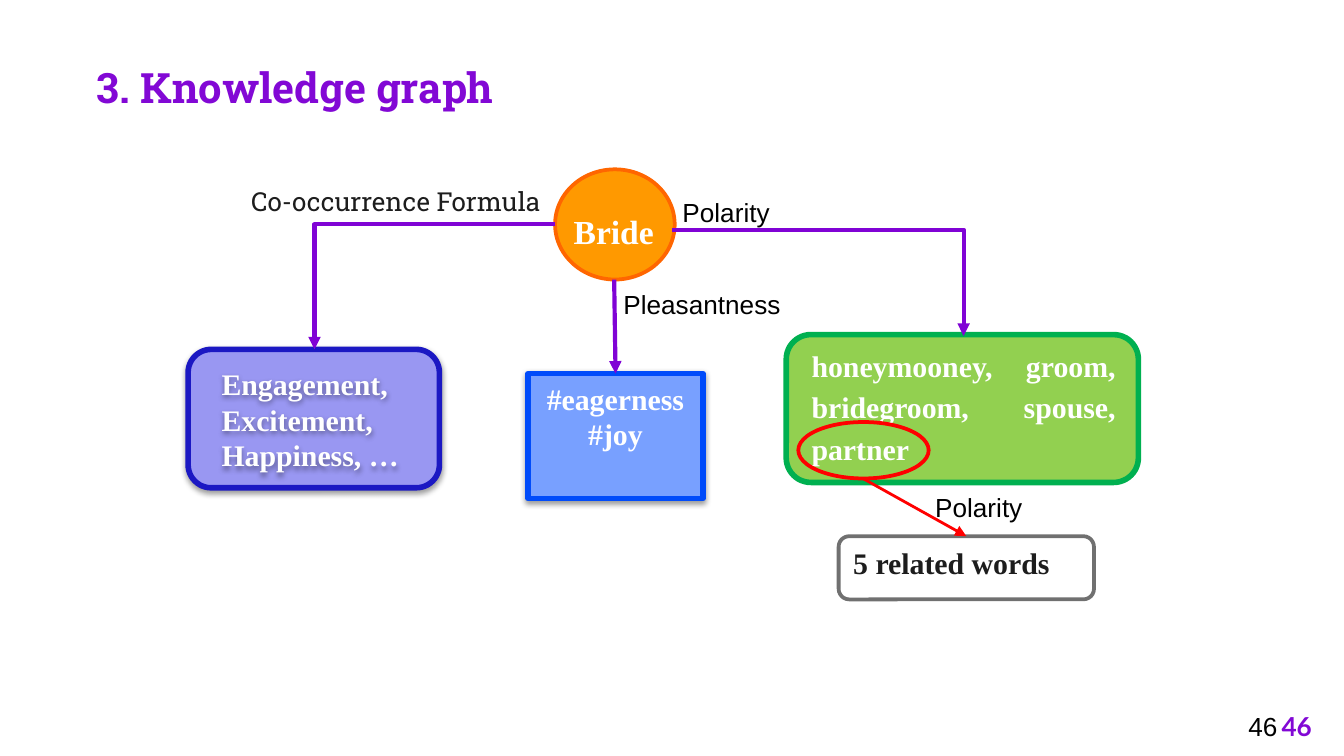
from lxml.etree import SubElement
from pptx import Presentation
from pptx.dml.color import RGBColor
from pptx.enum.shapes import MSO_CONNECTOR, MSO_SHAPE
from pptx.enum.text import MSO_ANCHOR, PP_ALIGN
from pptx.oxml.ns import qn
from pptx.util import Inches, Pt

COLORS = {
    "purple": "8003D5", "title": "8208D5", "black": "000000", "dark": "1D1D1D",
    "white": "FFFFFF", "orange": "FF9900", "orange_line": "FF6600",
    "green": "92D050", "green_line": "00B050", "blue": "78A0FF",
    "blue_line": "004BFA", "violet": "9997F2", "violet_line": "1B18C3",
    "gray_line": "707070", "red": "FF0000",
}
SERIF = "Times New Roman"


def color(name):
    return RGBColor.from_string(COLORS[name])


def write_text(shape, text, font="Arial", size=14, fill="black", bold=False,
               align=PP_ALIGN.LEFT, line_spacing=None, space_after=0,
               anchor=MSO_ANCHOR.TOP, inset=None):
    frame = shape.text_frame
    frame.word_wrap = True
    frame.vertical_anchor = anchor
    if inset is not None:
        frame.margin_left = frame.margin_right = Inches(inset)
        frame.margin_top = frame.margin_bottom = Inches(inset)
    paragraph = frame.paragraphs[0]
    paragraph.text = text
    paragraph.alignment = align
    paragraph.line_spacing = line_spacing
    paragraph.space_after = Pt(space_after)
    for run in paragraph.runs:
        run.font.name = font
        run.font.size = Pt(size)
        run.font.bold = bold
        run.font.color.rgb = color(fill)


def add_text(slide, box, text, **text_format):
    shape = slide.shapes.add_textbox(*map(Inches, box))
    write_text(shape, text, **text_format)
    return shape


def add_node_text(slide, box, text, **text_format):
    settings = {"font": SERIF, "size": 16, "fill": "white", "bold": True,
                "align": PP_ALIGN.JUSTIFY, "space_after": 8}
    return add_text(slide, box, text, **{**settings, **text_format})


def add_node(slide, kind, box, fill, line, line_width):
    shape = slide.shapes.add_shape(kind, *map(Inches, box))
    shape.shadow.inherit = False
    if fill:
        shape.fill.solid()
        shape.fill.fore_color.rgb = color(fill)
    else:
        shape.fill.background()
    shape.line.color.rgb = color(line)
    shape.line.width = Pt(line_width)
    return shape


def add_shadow(shape):
    """Give the shape a soft shadow that falls straight down."""
    shape.shadow.inherit = False
    effects = shape._element.spPr.find(qn("a:effectLst"))
    shadow = SubElement(effects, qn("a:outerShdw"), blurRad=str(Pt(3.1)),
                        dist=str(Pt(1.6)), dir="5400000", rotWithShape="0")
    shade = SubElement(shadow, qn("a:srgbClr"), val=COLORS["black"])
    SubElement(shade, qn("a:alpha"), val="38000")


def add_arrow(slide, start, end, line="purple", width=2.25, bent=False, target=None):
    """Draw an arrow, joined to the top of the target if there is one."""
    kind = MSO_CONNECTOR.ELBOW if bent else MSO_CONNECTOR.STRAIGHT
    arrow = slide.shapes.add_connector(kind, *map(Inches, (*start, *end)))
    if target is not None:
        arrow.end_connect(target, 0)
    arrow.line.color.rgb = color(line)
    arrow.line.width = Pt(width)
    properties = arrow._element.spPr
    if bent:
        properties.find(qn("a:prstGeom")).set("prst", "bentConnector2")
    SubElement(properties.find(qn("a:ln")), qn("a:tailEnd"), type="triangle")
    SubElement(properties, qn("a:effectLst"))


def add_title(slide, text):
    title = slide.shapes.title
    title.left, title.top = Inches(0.62), Inches(0.41)
    title.width, title.height = Inches(3.92), Inches(0.54)
    write_text(title, text, font="Roboto Slab", size=22.4, fill="title", bold=True)


def add_graph(slide):
    add_node(slide, MSO_SHAPE.OVAL, (4.13, 1.26, 0.89, 0.82),
             "orange", "orange_line", 2)
    add_node_text(slide, (4.17, 1.37, 1.04, 0.68), "Bride", size=18, line_spacing=1.5)

    add_node(slide, MSO_SHAPE.ROUNDED_RECTANGLE, (5.85, 2.49, 2.62, 1.1),
             "green", "green_line", 3)
    add_node_text(slide, (5.94, 2.5, 2.46, 1.07),
                  "honeymooney, groom, bridegroom, spouse, partner", line_spacing=1.15)

    hashtags = add_node(slide, MSO_SHAPE.RECTANGLE, (3.93, 2.78, 1.3, 0.93),
                        "blue", "blue_line", 3)
    add_shadow(hashtags)
    write_text(hashtags, "#eagerness\v#joy", font=SERIF, size=16, fill="white",
               bold=True, align=PP_ALIGN.CENTER, space_after=8)

    feelings = add_node(slide, MSO_SHAPE.ROUNDED_RECTANGLE, (1.4, 2.6, 1.87, 1.03),
                        "violet", "violet_line", 3)
    add_shadow(feelings)
    feelings_text = add_node_text(slide, (1.55, 2.67, 1.89, 0.96),
                                  "Engagement, Excitement, Happiness, …")
    add_shadow(feelings_text)

    related = add_node(slide, MSO_SHAPE.ROUNDED_RECTANGLE, (6.24, 3.99, 1.9, 0.47),
                       "white", "gray_line", 2)
    add_node_text(slide, (6.25, 4, 1.91, 0.42), "5 related words",
                  fill="dark", align=PP_ALIGN.LEFT)
    add_node(slide, MSO_SHAPE.OVAL, (5.94, 3.14, 0.97, 0.42), None, "red", 2)

    add_arrow(slide, (6.42, 3.56), (7.2, 4), line="red", width=1.5, target=related)
    add_arrow(slide, (4.57, 2.08), (4.58, 2.78), target=hashtags)
    add_arrow(slide, (5, 1.71), (7.17, 2.5), bent=True)
    add_arrow(slide, (4.13, 1.67), (2.34, 2.6), bent=True)


def add_labels(slide):
    add_text(slide, (4.54, 2.1, 1.4, 0.34), "Pleasantness")
    add_text(slide, (1.77, 1.33, 2.72, 0.34), "Co-occurrence Formula",
             font="Roboto Slab", fill="dark")
    for left, top in ((4.98, 1.41), (6.86, 3.61)):
        add_text(slide, (left, top, 0.94, 0.34), "Polarity")


def add_page_numbers(slide):
    placement = {"anchor": MSO_ANCHOR.MIDDLE, "inset": 0.1}
    add_text(slide, (9.19, 5.19, 0.6, 0.43), "46", **placement)
    add_text(slide, (9.26, 5.19, 0.6, 0.43), "46", font="Lato", fill="title",
             bold=True, align=PP_ALIGN.RIGHT, **placement)


def main():
    presentation = Presentation()
    presentation.slide_width = Inches(10)
    presentation.slide_height = Inches(10) * 9 // 16
    slide = presentation.slides.add_slide(presentation.slide_layouts[5])
    add_title(slide, "3. Knowledge graph")
    add_graph(slide)
    add_labels(slide)
    add_page_numbers(slide)
    presentation.save("out.pptx")


if __name__ == "__main__":
    main()
